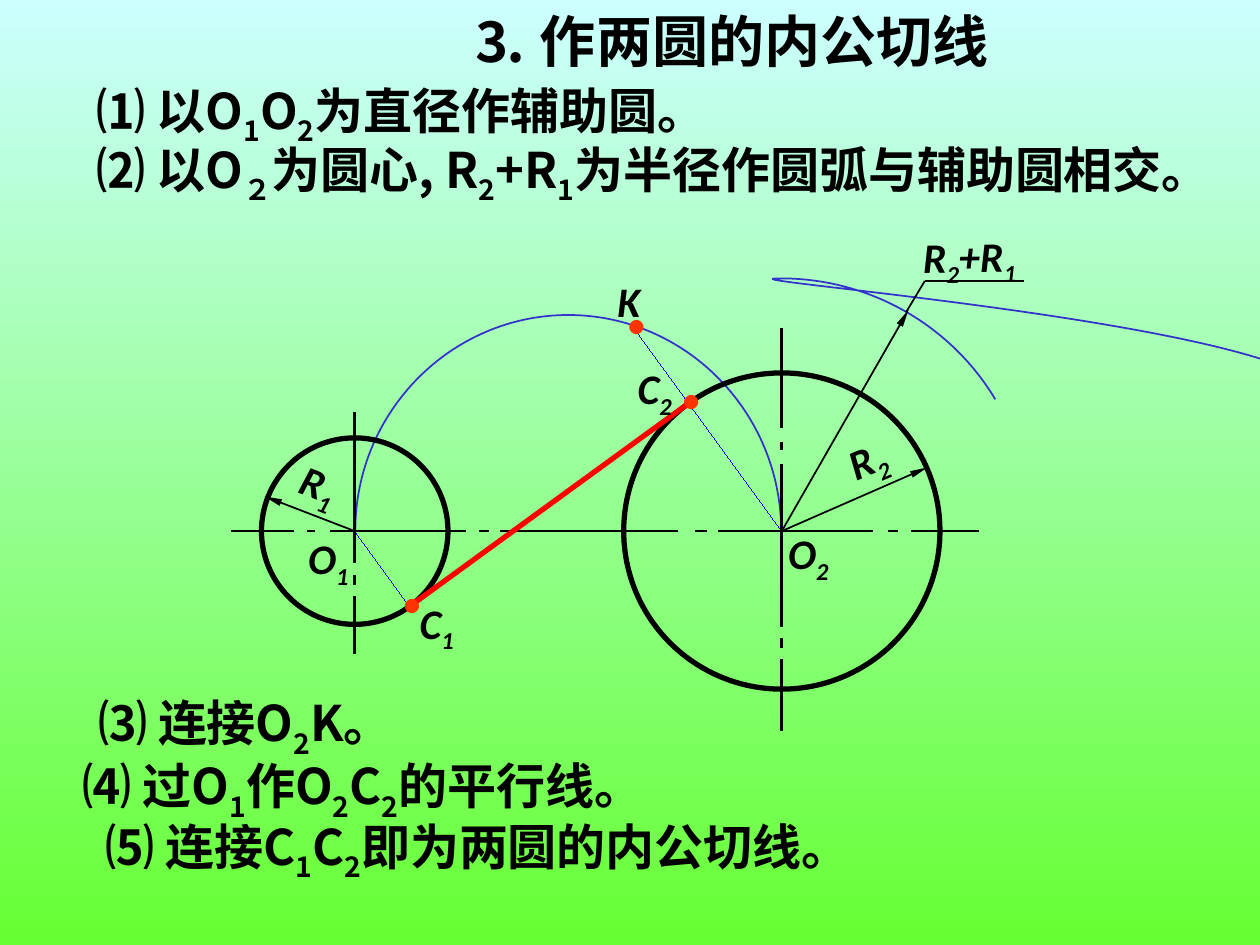
from collections import namedtuple
from math import acos, cos, pi, sin

from lxml.etree import SubElement
from pptx import Presentation
from pptx.dml.color import RGBColor
from pptx.enum.shapes import MSO_CONNECTOR, MSO_SHAPE
from pptx.enum.text import MSO_ANCHOR, MSO_AUTO_SIZE, PP_ALIGN
from pptx.oxml.ns import qn
from pptx.util import Inches, Pt

Box = namedtuple("Box", "left top width height")
CELL = 0.1
CJK = "Noto Sans CJK SC"
BLACK, RED, DOT_RED, BLUE, ARC_BLUE = "000000", "FF0000", "FF3300", "0000FF", "3333CC"


def color(value):
    return RGBColor.from_string(value)


def inside(box, col, row, cols, rows):
    return Box(box.left + col * CELL, box.top + row * CELL, cols * CELL, rows * CELL)


def inches(values):
    return [Inches(value) for value in values]


def write(shape, text, size, face, align=PP_ALIGN.LEFT, italic=False, wrap=True, ink=BLACK):
    frame = shape.text_frame
    frame.word_wrap = wrap
    frame.auto_size = MSO_AUTO_SIZE.NONE
    frame.vertical_anchor = MSO_ANCHOR.TOP
    para = frame.paragraphs[0]
    para.alignment = align
    font = para.font
    font.size, font.name, font.bold, font.italic = Pt(size), face, True, italic
    font.color.rgb = color(ink)
    for index, part in enumerate(text.split("|")):
        span = para.add_run()
        span.text = part
        properties = span._r.get_or_add_rPr()
        if index % 2:
            properties.set("baseline", "-25000")
        SubElement(properties, qn("a:ea")).set("typeface", CJK)


def add_text(page, box, text, size, face, **style):
    shape = page.shapes.add_textbox(*inches(box))
    write(shape, text, size, face, **style)
    return shape


def add_label(page, box, text, angle=0):
    shape = add_text(page, box, text, 24, "Calibri", align=PP_ALIGN.CENTER, italic=True, wrap=False)
    shape.rotation = angle


def add_line(page, box, start, end, width, ink=BLACK, arrow=False):
    ends = [Inches(origin + step * CELL) for point in (start, end)
            for origin, step in zip((box.left, box.top), point)]
    line = page.shapes.add_connector(MSO_CONNECTOR.STRAIGHT, *ends)
    line.line.color.rgb = color(ink)
    outline = line.line._get_or_add_ln()
    outline.set("w", str(Pt(width)))
    if arrow:
        head = SubElement(outline, qn("a:tailEnd"))
        for name, value in (("type", "triangle"), ("w", "sm"), ("len", "lg")):
            head.set(name, value)
    SubElement(line._element.spPr, qn("a:effectLst"))


def add_curve(page, box, frame, points):
    left, top, width, height = inches(inside(box, *frame))
    builder = page.shapes.build_freeform(left, top)
    builder.add_line_segments([(left + width, top + height)], close=False)
    curve = builder.convert_to_shape()
    curve.shadow.inherit = False
    curve.fill.background()
    curve.line.color.rgb = color(ARC_BLUE)
    curve.line.width = Pt(1)
    outline = next(curve._element.iter(qn("a:path")))
    for child in list(outline):
        outline.remove(child)
    groups = [("a:moveTo", points[:1])]
    groups += [("a:cubicBezTo", points[i:i + 3]) for i in range(1, len(points), 3)]
    for tag, group in groups:
        command = SubElement(outline, qn(tag))
        for x, y in group:
            spot = SubElement(command, qn("a:pt"))
            spot.set("x", str(Inches((x - frame[0]) * CELL)))
            spot.set("y", str(Inches((y - frame[1]) * CELL)))


def add_circle(page, box, center, radius):
    frame = inside(box, center[0] - radius, center[1] - radius, 2 * radius, 2 * radius)
    circle = page.shapes.add_shape(MSO_SHAPE.OVAL, *inches(frame))
    circle.shadow.inherit = False
    circle.fill.background()
    circle.line.color.rgb = color(BLACK)
    circle.line.width = Pt(3)


def add_dot(page, box, center):
    frame = inside(box, center[0] - 1.35, center[1] - 1.3, 3.1, 2.5)
    add_text(page, frame, "●", 9, CJK, align=PP_ALIGN.CENTER, wrap=False, ink=DOT_RED)


def polar(center, radius, angle):
    return center[0] + radius * cos(angle), center[1] + radius * sin(angle)


def draw_center_lines(page, box, o1, o2):
    across = [(0.3, 5.3), (6.4, 7), (8.2, 19), (20, 20.8), (21.7, 35.8),
              (37.2, 38.1), (39, 51.3), (52.5, 53.3), (54.3, 59.7)]
    upright = {o1: [(15.7, 27.7), (28.6, 29.4), (30.3, 34.9)],
               o2: [(9, 17), (18.1, 18.7), (19.8, 32.8), (33.6, 34.4), (35.3, 41)]}
    for start, end in across:
        add_line(page, box, (start, o1[1]), (end, o1[1]), 1.5)
    for center, dashes in upright.items():
        for start, end in dashes:
            add_line(page, box, (center[0], start), (center[0], end), 1.5)


def draw_diagram(page, box):
    o1, o2 = (10.15, 25.15), (44.05, 25.15)
    r1, r2 = 7.4, 12.55
    span = o2[0] - o1[0]
    tilt = acos((r1 + r2) / span)
    k = polar(o2, r1 + r2, pi + tilt)
    c2 = polar(o2, r2, pi + tilt)
    c1 = polar(o1, r1, tilt)

    add_line(page, box, k, o2, 0, BLUE)
    add_line(page, box, o1, c1, 0, BLUE)
    add_curve(page, box, (10.2, 8, 33.8, 17.1), [
        (44, 25.2), (44, 15.7), (36.4, 8), (27.1, 8), (17.8, 8), (10.2, 15.7), (10.2, 25.1)])
    add_curve(page, box, (26.5, 5.1, 34.6, 20.3), [
        (61, 14.7), (57.4, 8.7), (50.9, 5.1), (44, 5.1), (36.7, 5.1), (90.9, 9.1), (87.3, 15.5)])
    add_circle(page, box, o2, r2)
    add_circle(page, box, o1, r1)
    draw_center_lines(page, box, o1, o2)

    for center, tip in ((o1, (3, 22.4)), (o2, (55.6, 20.1)), (o2, (54.1, 7.6))):
        add_line(page, box, center, tip, 1, arrow=True)
    elbow = (55.4, 5.3)
    for end in ((53.9, 7.8), (63.3, 5.3)):
        add_line(page, box, elbow, end, 1)
    add_line(page, box, c1, c2, 3, RED)

    labels = [("O|1", 5.3, 24.8, 5.5, 0), ("R|1", 4.7, 18.8, 5.1, 20.8),
              ("O|2", 43.4, 24.4, 5.5, 0), ("R|2", 48.3, 16.9, 5.1, 336.8),
              ("C|2", 31.4, 11.3, 5.1, 0), ("C|1", 14.1, 29.9, 5.1, 0),
              ("K", 29.9, 4.4, 4, 0), ("R|2|+R|1", 53.9, 0.8, 10.1, 359.3)]
    for text, col, row, cols, angle in labels:
        add_label(page, inside(box, col, row, cols, 5.6), text, angle)
    for center in (c2, c1, k):
        add_dot(page, box, center)


def place_title(page, box):
    title = page.shapes.title
    title.left, title.top, title.width, title.height = inches(box)
    write(title, "⒊ 作两圆的内公切线", 32, CJK)


def place_steps(page, box, steps):
    for col, row, cols, margin, text in steps:
        step = add_text(page, inside(box, col, row, cols, 6.3), text, 28, CJK)
        step.text_frame.margin_right = Inches(margin * CELL)


def paint_background(page):
    fill = page.background.fill
    fill.gradient()
    fill.gradient_angle = 270
    for stop, position, value in zip(fill.gradient_stops, (0, 1), ("CCFFFF", "66FF33")):
        stop.position = position
        stop.color.rgb = color(value)


def main():
    deck = Presentation()
    deck.slide_width, deck.slide_height = Inches(10), Inches(7.5)
    page = deck.slides.add_slide(deck.slide_layouts[5])
    paint_background(page)
    place_title(page, Box(3.64, 0, 4.33, 0.64))
    place_steps(page, Box(0.5, 0.5, 9.5, 1.7), [
        (1.7, 0.9, 52.5, 1, "⑴ 以O|1|O|2|为直径作辅助圆。"),
        (1.7, 5.6, 93.7, 6, "⑵ 以O|２|为圆心, R|2|+R|1|为半径作圆弧与辅助圆相交。")])
    draw_diagram(page, Box(1.8, 1.7, 8.2, 4.2))
    place_steps(page, Box(0.5, 5.4, 9.5, 2.1), [
        (1.8, 0.5, 27.4, 1, "⑶ 连接O|2|K。"),
        (0.6, 5.5, 50.3, 1, "⑷ 过O|1|作O|2|C|2|的平行线。"),
        (2.4, 10.3, 62.9, 6, "⑸ 连接C|1|C|2|即为两圆的内公切线。")])
    deck.save("out.pptx")


if __name__ == "__main__":
    main()
